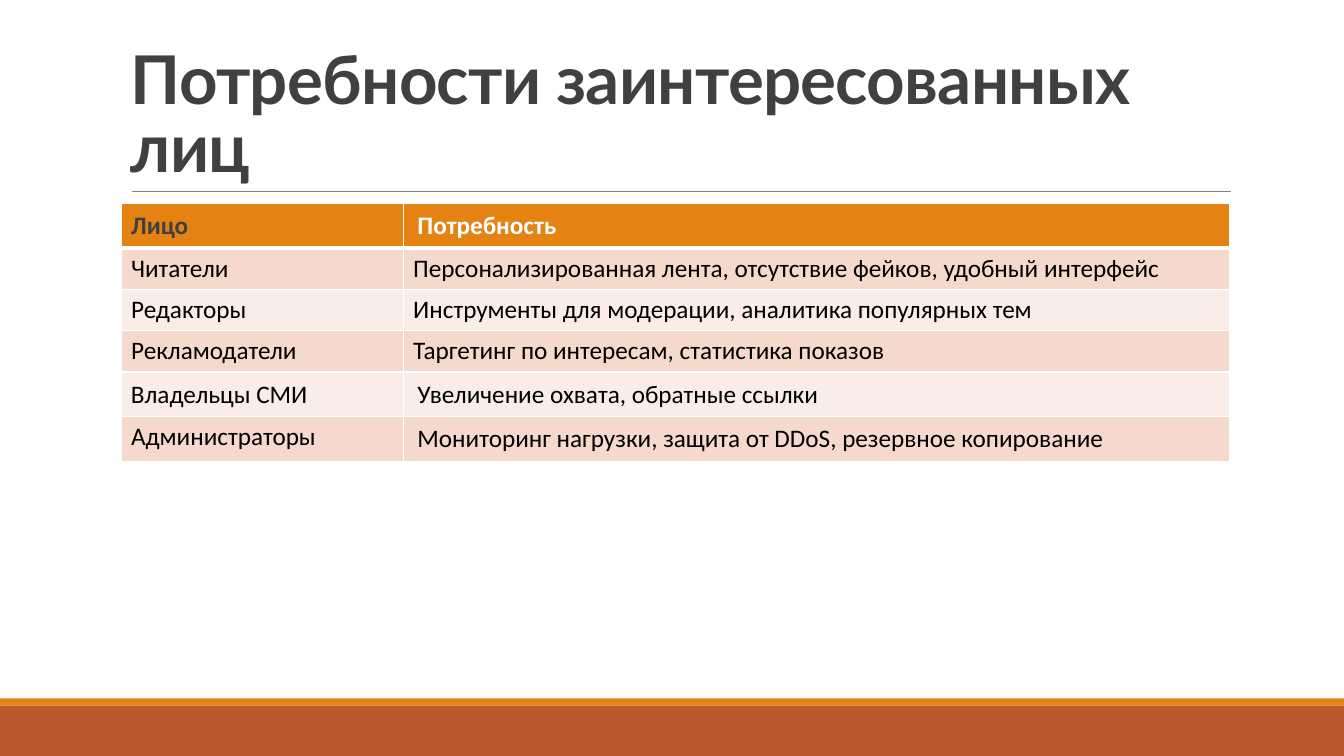
from lxml.etree import SubElement
from pptx import Presentation
from pptx.dml.color import RGBColor
from pptx.enum.shapes import MSO_CONNECTOR, MSO_SHAPE
from pptx.enum.text import MSO_ANCHOR as Anchor
from pptx.oxml import parse_xml
from pptx.oxml.ns import nsdecls, qn
from pptx.util import Cm, Pt

COLORS = {
    "rust": "BD582C",
    "orange": "E48312",
    "rule": "808080",
    "dark": "404040",
    "white": "FFFFFF",
    "black": "000000",
    "band": "F5D9CC",
    "light": "FAEDE7",
}

NEEDS = [
    ("Лицо", "Потребность"),
    ("Читатели", "Персонализированная лента, отсутствие фейков, удобный интерфейс"),
    ("Редакторы", "Инструменты для модерации, аналитика популярных тем"),
    ("Рекламодатели", "Таргетинг по интересам, статистика показов"),
    ("Владельцы СМИ", "Увеличение охвата, обратные ссылки"),
    ("Администраторы", "Мониторинг нагрузки, защита от DDoS, резервное копирование"),
]
ROOMY_CELLS = {(0, 0), (0, 1), (4, 0), (4, 1), (5, 1)}
ROOMY_ROWS = {row for row, _ in ROOMY_CELLS}


def color(name):
    return RGBColor.from_string(COLORS[name])


def style_span(span, font, size, fill, bold):
    span.font.name = font
    span.font.size = Pt(size)
    span.font.bold = bold
    span.font.color.rgb = color(fill)


def add_bar(page, top, height, fill):
    bar = page.shapes.add_shape(MSO_SHAPE.RECTANGLE, 0, Cm(top), Cm(33.87), Cm(height))
    bar.shadow.inherit = False
    bar.fill.solid()
    bar.fill.fore_color.rgb = color(fill)
    bar.line.fill.background()


def add_rule(page, left, right, top):
    rule = page.shapes.add_connector(
        MSO_CONNECTOR.STRAIGHT, Cm(left), Cm(top), Cm(right), Cm(top))
    rule.line.color.rgb = color("rule")
    rule.line.width = Pt(0.5)
    SubElement(rule._element.spPr, qn("a:effectLst"))


def add_title(page, text):
    box = page.shapes.add_textbox(Cm(3.05), Cm(0.79), Cm(27.94), Cm(4.04))
    frame = box.text_frame
    frame.word_wrap = True
    frame.vertical_anchor = Anchor.BOTTOM
    frame.text = text
    para = frame.paragraphs[0]
    para.line_spacing = 0.85
    span = para.runs[0]
    style_span(span, "Lato", 48, "dark", True)
    span._r.get_or_add_rPr().set("spc", "-50")


def set_borders(cell, top, bottom):
    widths = {"lnL": 1, "lnR": 1, "lnT": top, "lnB": bottom}
    for place, (side, width) in enumerate(widths.items()):
        border = parse_xml(
            f'<a:{side} {nsdecls("a")} w="{Pt(width)}"><a:solidFill>'
            f'<a:srgbClr val="{COLORS["white"]}"/></a:solidFill></a:{side}>')
        cell._tc.get_or_add_tcPr().insert(place, border)


def fill_cell(cell, text, row, column):
    header = row == 0
    if (row, column) in ROOMY_CELLS:
        cell.vertical_anchor = Anchor.MIDDLE
        cell.margin_left = Cm(0.36 if column else 0.25)
        cell.margin_right = Cm(0.36)
        cell.margin_top = cell.margin_bottom = Cm(0.18)
    cell.fill.solid()
    cell.fill.fore_color.rgb = color("orange" if header else "band" if row % 2 else "light")
    set_borders(cell, 3 if row == 1 else 1, 3 if header else 1)
    cell.text_frame.text = text
    ink = "black" if not header else "white" if column else "dark"
    style_span(cell.text_frame.paragraphs[0].runs[0], "Calibri", 18, ink, header)


def add_needs_table(page):
    table = page.shapes.add_table(
        len(NEEDS), 2, Cm(3.05), Cm(5.13), Cm(27.94), Cm(6.48)).table
    for column, width in zip(table.columns, (7.11, 20.83)):
        column.width = Cm(width)
    for row, texts in enumerate(NEEDS):
        table.rows[row].height = Cm(1.12 if row in ROOMY_ROWS else 1.04)
        for column, text in enumerate(texts):
            fill_cell(table.cell(row, column), text, row, column)


def main():
    deck = Presentation()
    deck.slide_width, deck.slide_height = Cm(33.87), Cm(19.05)
    page = deck.slides.add_slide(deck.slide_layouts[6])
    add_bar(page, 17.78, 1.27, "rust")
    add_bar(page, 17.6, 0.18, "orange")
    add_rule(page, 3.33, 31.01, 4.83)
    add_title(page, "Потребности заинтересованных лиц")
    add_needs_table(page)
    deck.save("out.pptx")


if __name__ == "__main__":
    main()
